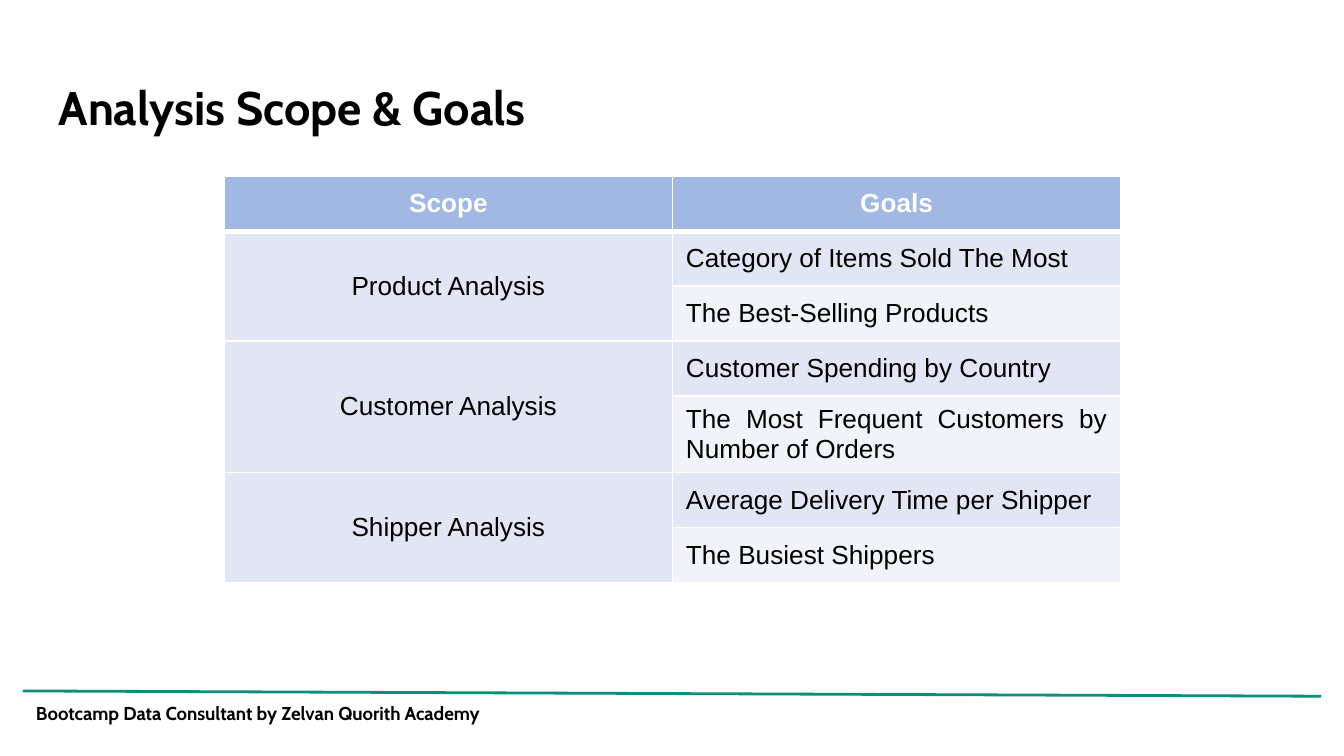
from lxml import etree
from pptx import Presentation
from pptx.dml.color import RGBColor
from pptx.enum.shapes import MSO_CONNECTOR
from pptx.enum.text import MSO_ANCHOR, PP_ALIGN
from pptx.oxml.ns import qn
from pptx.util import Cm, Pt

STRAIGHT = MSO_CONNECTOR.STRAIGHT
MIDDLE = MSO_ANCHOR.MIDDLE
CENTER, JUSTIFY = PP_ALIGN.CENTER, PP_ALIGN.JUSTIFY

BLACK, WHITE, GREEN = "000000", "FFFFFF", "0A9079"
HEADER_FILL, BAND_FILL, LIGHT_FILL = "A1B8E2", "E0E6F4", "F0F3FA"

HEADINGS = ("Scope", "Goals")
ANALYSES = {
    "Product Analysis": ("Category of Items Sold The Most", "The Best-Selling Products"),
    "Customer Analysis": (
        "Customer Spending by Country",
        "The Most Frequent Customers by Number of Orders",
    ),
    "Shipper Analysis": ("Average Delivery Time per Shipper", "The Busiest Shippers"),
}


def color(hex_string):
    return RGBColor.from_string(hex_string)


def format_text(para, font_name, size, hex_color, bold):
    for span in para.runs:
        span.font.name = font_name
        span.font.size = Pt(size)
        span.font.bold = bold
        span.font.color.rgb = color(hex_color)


def add_text(page, text, left, top, width, height, size):
    box = page.shapes.add_textbox(Cm(left), Cm(top), Cm(width), Cm(height))
    frame = box.text_frame
    frame.word_wrap = True
    frame.margin_left = frame.margin_right = Cm(0.25)
    frame.margin_top = frame.margin_bottom = Cm(0.25)
    frame.text = text
    format_text(frame.paragraphs[0], "Cabin", size, BLACK, True)


def add_rule(page, start_x, start_y, end_x, end_y):
    rule = page.shapes.add_connector(
        STRAIGHT, Cm(start_x), Cm(start_y), Cm(end_x), Cm(end_y)
    )
    rule.line.color.rgb = color(GREEN)
    rule.line.width = Pt(1.5)
    etree.SubElement(rule._element.spPr, qn("a:effectLst"))


def set_borders(cell, top, bottom):
    properties = cell._tc.get_or_add_tcPr()
    for side, points in (("L", 1), ("R", 1), ("T", top), ("B", bottom)):
        border = etree.SubElement(properties, qn(f"a:ln{side}"), w=str(Pt(points)))
        fill = etree.SubElement(border, qn("a:solidFill"))
        etree.SubElement(fill, qn("a:srgbClr"), val=WHITE)


def style_cell(cell, fill, text_color=BLACK, align=CENTER, bold=False, top=1, bottom=1):
    set_borders(cell, top, bottom)
    cell.fill.solid()
    cell.fill.fore_color.rgb = color(fill)
    cell.vertical_anchor = MIDDLE
    para = cell.text_frame.paragraphs[0]
    para.alignment = align
    format_text(para, "Arial", 14, text_color, bold)
    para.font.size = Pt(14)


def add_scope_table(page):
    row_count = 1 + sum(len(goals) for goals in ANALYSES.values())
    row_height = Cm(1.04)
    table = page.shapes.add_table(
        row_count, 2, Cm(4.24), Cm(3.33), Cm(16.94), row_height * row_count
    ).table
    for row in table.rows:
        row.height = row_height

    # Header row
    for column, heading in enumerate(HEADINGS):
        cell = table.cell(0, column)
        cell.text_frame.text = heading
        style_cell(cell, HEADER_FILL, WHITE, bold=True, bottom=3)

    # One merged scope cell beside its goals
    first_row = 1
    for scope, goals in ANALYSES.items():
        table.cell(first_row, 0).text_frame.text = scope
        for offset, goal in enumerate(goals):
            row = first_row + offset
            top = 3 if row == 1 else 1
            style_cell(table.cell(row, 0), BAND_FILL, top=top)
            goal_cell = table.cell(row, 1)
            goal_cell.text_frame.text = goal
            goal_fill = BAND_FILL if row % 2 else LIGHT_FILL
            style_cell(goal_cell, goal_fill, align=JUSTIFY, top=top)
        last_row = first_row + len(goals) - 1
        table.cell(first_row, 0).merge(table.cell(last_row, 0))
        first_row = last_row + 1


def main():
    deck = Presentation()
    deck.slide_width, deck.slide_height = Cm(25.4), Cm(14.29)
    page = deck.slides.add_slide(deck.slide_layouts[6])

    # Footer
    add_rule(page, 0.43, 13.06, 24.97, 13.16)
    add_text(page, "Bootcamp Data Consultant by Zelvan Quorith Academy",
             0.43, 13.06, 10.24, 0.94, 10)

    # Title and table
    add_text(page, "Analysis Scope & Goals", 0.86, 1.24, 17.7, 1.6, 25.2)
    add_scope_table(page)

    deck.save("out.pptx")


if __name__ == "__main__":
    main()
